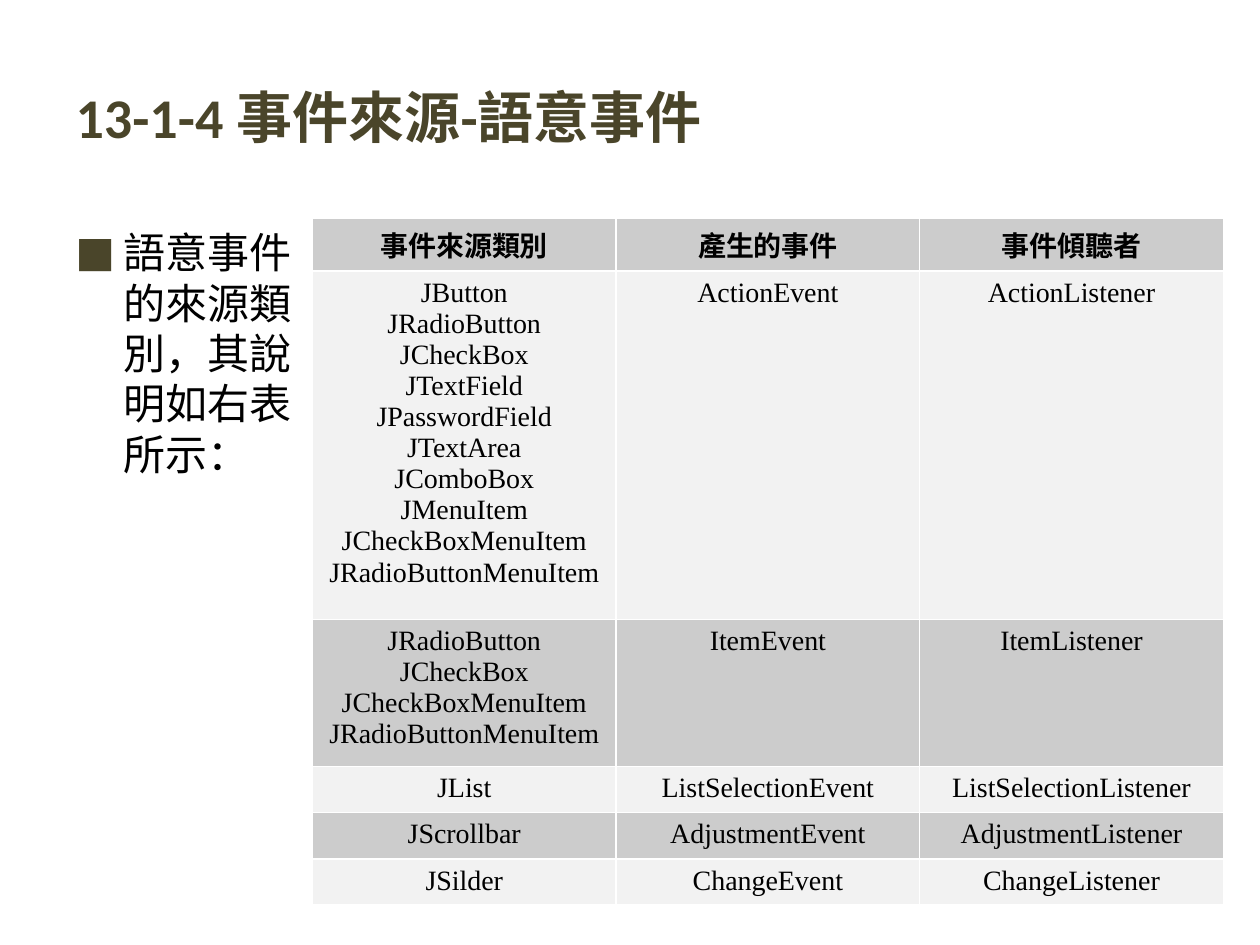
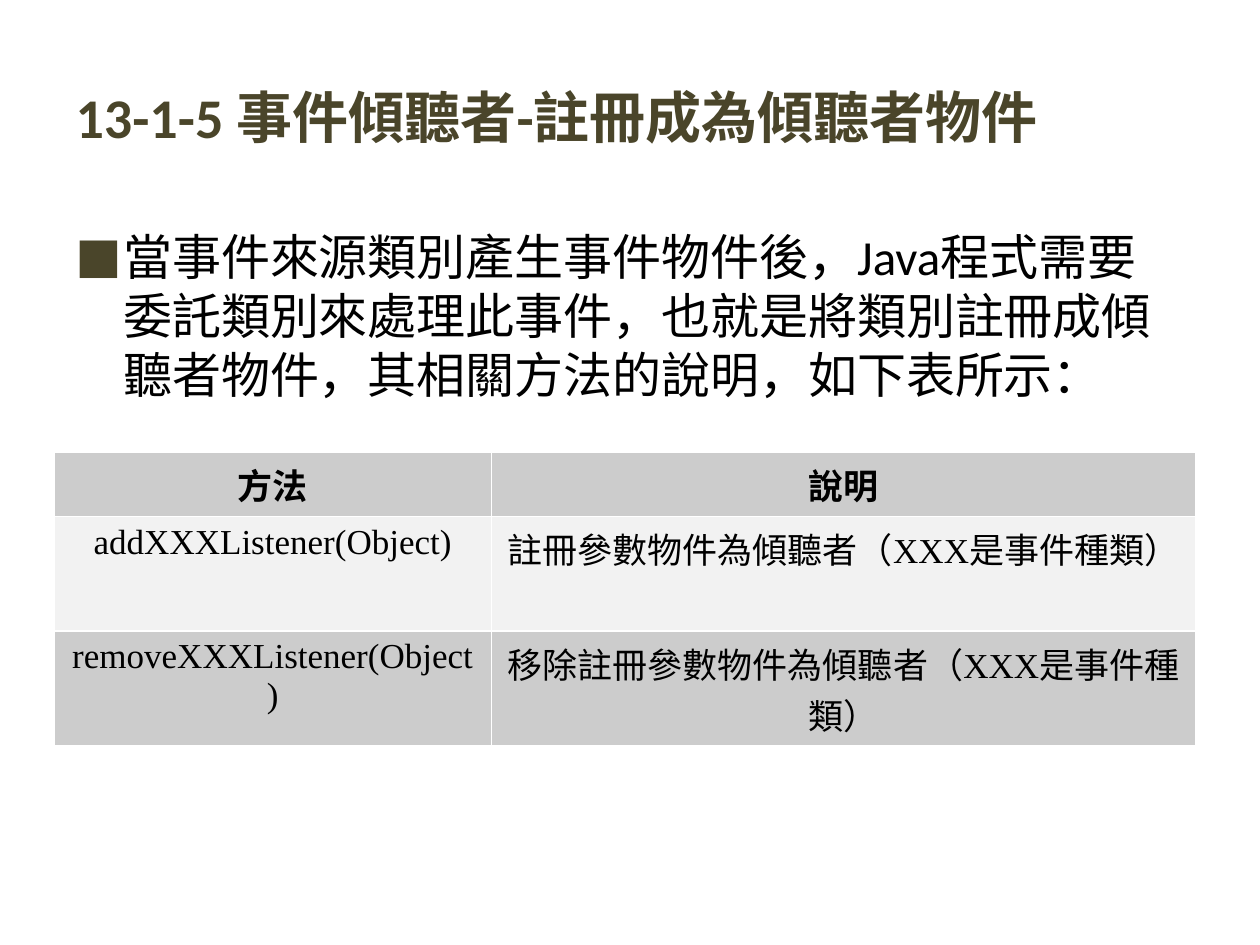
from dataclasses import dataclass

from lxml.etree import SubElement
from pptx import Presentation
from pptx.dml.color import RGBColor
from pptx.enum.text import MSO_ANCHOR, MSO_AUTO_SIZE, PP_ALIGN
from pptx.oxml.ns import qn
from pptx.util import Inches, Pt


@dataclass(frozen=True)
class Theme:
    heading: str = "4A452A"
    text: str = "000000"
    border: str = "FFFFFF"
    bands: tuple = ("CCCCCC", "F2F2F2")
    body_font: str = "Calibri"
    table_font: str = "Times New Roman"
    title_size: int = 32
    border_pt: float = 0.96


theme = Theme()


def style_run(r, size, color, name, bold=False):
    r.font.size = Pt(size)
    r.font.bold = bold
    r.font.color.rgb = RGBColor.from_string(color)
    r.font.name = name
    if name == theme.body_font:
        SubElement(r.font._element, qn("a:ea"), typeface=name)


def add_border(cell, sides=("L", "R", "T", "B")):
    """Draw the cell edges; must run before the cell is filled."""
    tcPr = cell._tc.get_or_add_tcPr()
    for side in sides:
        ln = SubElement(tcPr, qn(f"a:ln{side}"), w=str(Pt(theme.border_pt)))
        fill = SubElement(ln, qn("a:solidFill"))
        SubElement(fill, qn("a:srgbClr"), val=theme.border)


menu_items = ["JCheckBoxMenuItem", "JRadioButtonMenuItem"]
action_sources = ["JButton", "JRadioButton", "JCheckBox", "JTextField",
                  "JPasswordField", "JTextArea", "JComboBox", "JMenuItem"] + menu_items
item_sources = ["JRadioButton", "JCheckBox"] + menu_items

slides = [
    {
        "title": "13-1-4 事件來源-語意事件",
        "body": "語意事件的來源類別，其說明如右表所示：",
        "body_width": 1.98, "body_size": 24, "space_before": 6,
        "table_at": (2.48, 1.73), "table_size": 16,
        "cols": [2.41] * 3,
        "rows": [0.42, 2.74, 1.16] + [0.36] * 3,
        "cells": [
            ["事件來源類別", "產生的事件", "事件傾聽者"],
            ["\n".join(action_sources), "ActionEvent", "ActionListener"],
            ["\n".join(item_sources), "ItemEvent", "ItemListener"],
            ["JList", "ListSelectionEvent", "ListSelectionListener"],
            ["JScrollbar", "AdjustmentEvent", "AdjustmentListener"],
            ["JSilder", "ChangeEvent", "ChangeListener"],
        ],
    },
    {
        "title": "13-1-5 事件傾聽者-註冊成為傾聽者物件",
        "body": "當事件來源類別產生事件物件後，Java程式需要委託類別來處理此事件，"
                "也就是將類別註冊成傾聽者物件，其相關方法的說明，如下表所示：",
        "body_width": 9, "body_size": 28, "space_before": 7,
        "table_at": (0.43, 3.59), "table_size": 20,
        "cols": [3.47, 5.59],
        "rows": [0.51, 0.91, 0.91],
        "cells": [
            ["方法", "說明"],
            ["addXXXListener(Object)", "註冊參數物件為傾聽者（XXX是事件種類）"],
            ["removeXXXListener(Object)", "移除註冊參數物件為傾聽者（XXX是事件種類）"],
        ],
    },
]

prs = Presentation()
prs.slide_width, prs.slide_height = Inches(10), Inches(7.5)

for data in slides:
    s = prs.slides.add_slide(prs.slide_layouts[5])

    # Title
    title = s.shapes.title
    title.left, title.top = Inches(0.5), Inches(0.3)
    title.width, title.height = Inches(9), Inches(1.25)
    tf = title.text_frame
    tf.text = data["title"]
    tf.auto_size = MSO_AUTO_SIZE.NONE
    tf.vertical_anchor = MSO_ANCHOR.MIDDLE
    p = tf.paragraphs[0]
    p.alignment = PP_ALIGN.LEFT
    style_run(p.runs[0], theme.title_size, theme.heading, theme.body_font, bold=True)

    # Bulleted body
    body = s.shapes.add_textbox(Inches(0.5), Inches(1.75),
                                Inches(data["body_width"]), Inches(4.95))
    tf = body.text_frame
    tf.word_wrap = True
    tf.text = data["body"]
    p = tf.paragraphs[0]
    p.space_before = Pt(data["space_before"])
    style_run(p.runs[0], data["body_size"], theme.text, theme.body_font)
    pPr = p._p.get_or_add_pPr()
    pPr.set("marL", str(Inches(0.38)))
    pPr.set("indent", str(-Inches(0.38)))
    SubElement(SubElement(pPr, qn("a:buClr")), qn("a:srgbClr"), val=theme.heading)
    SubElement(pPr, qn("a:buFont"), typeface=theme.body_font)
    SubElement(pPr, qn("a:buChar"), char="■")

    # Table
    left, top = data["table_at"]
    cols, rows = data["cols"], data["rows"]
    table = s.shapes.add_table(len(rows), len(cols), Inches(left), Inches(top),
                               Inches(sum(cols)), Inches(sum(rows))).table
    for column, width in zip(table.columns, cols):
        column.width = Inches(width)
    for i, (row, height) in enumerate(zip(table.rows, rows)):
        row.height = Inches(height)
        for cell, text in zip(row.cells, data["cells"][i]):
            add_border(cell)
            cell.fill.solid()
            cell.fill.fore_color.rgb = RGBColor.from_string(theme.bands[i % 2])
            cell.text_frame.text = text
            for p in cell.text_frame.paragraphs:
                p.alignment = PP_ALIGN.CENTER
                style_run(p.runs[0], data["table_size"], theme.text,
                          theme.table_font, bold=i == 0)

prs.save("out.pptx")
